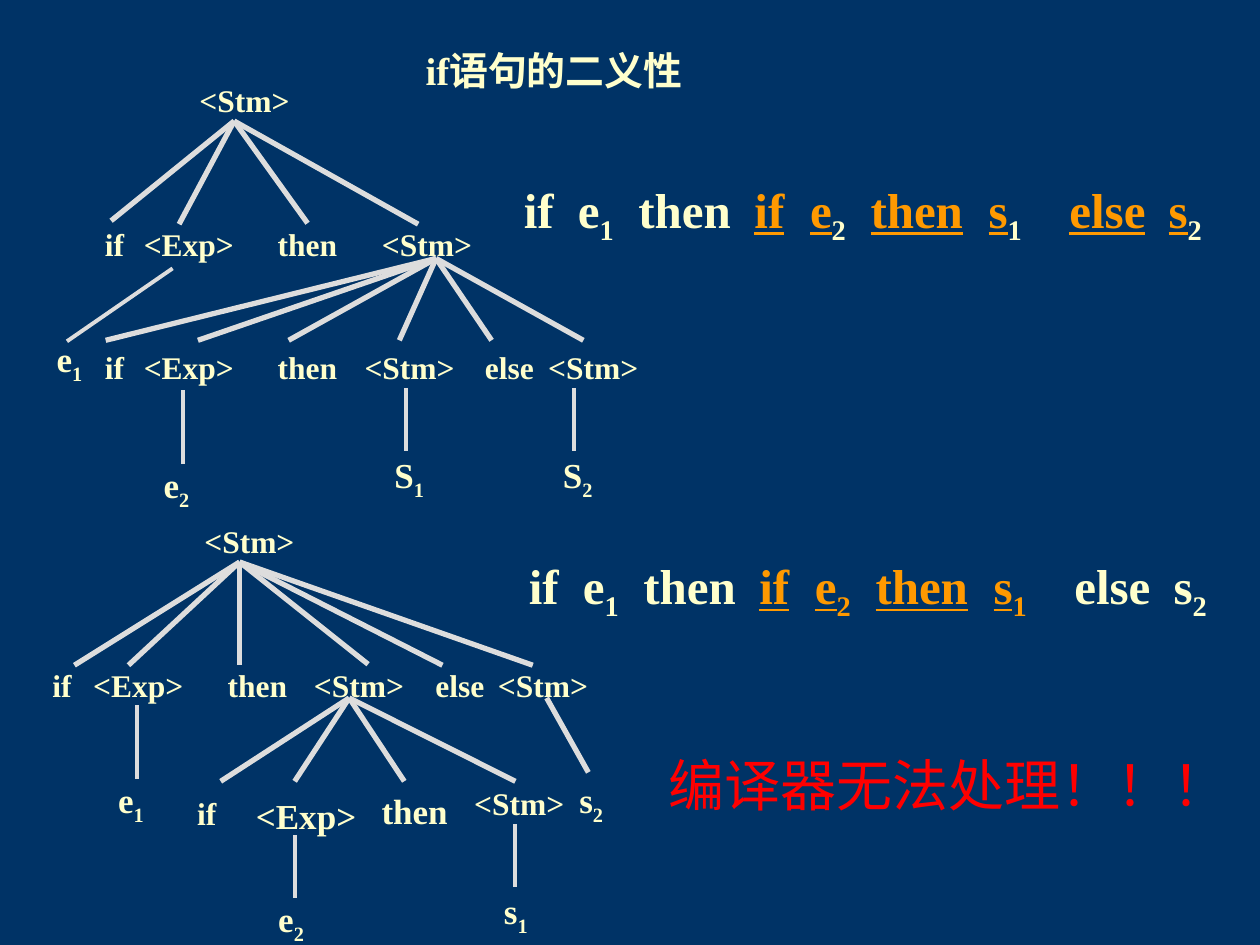
from dataclasses import dataclass
from lxml.etree import SubElement
from pptx import Presentation
from pptx.dml.color import RGBColor
from pptx.enum.shapes import MSO_CONNECTOR
from pptx.enum.text import PP_ALIGN
from pptx.oxml.ns import qn
from pptx.util import Cm, Pt


@dataclass(frozen=True)
class Theme:
    background: str = "003366"
    text: str = "FFFFCC"
    accent: str = "FF9900"
    warning: str = "FF0000"
    branch: str = "DDDDDD"
    latin: str = "Times New Roman"
    chinese: str = "Noto Sans CJK SC"
    title_size: float = 22.2
    node_size: float = 18
    leaf_size: float = 20
    formula_size: float = 28
    warning_size: float = 32
    thick: float = 3
    thin: float = 2.25


THEME = Theme()
TIGHT, ROOMY = (0.03, 0.03), (0.25, 0.13)
FORMULA_TABS = (1.09, 2.31, 4.65, 5.77, 6.99, 9.37, 11, 13)
NODE_WIDTHS = {"if": 1.12, "then": 1.48, "else": 1.48, "<Stm>": 2.24, "<Exp>": 2.24}

# Trees in cm from their corner: nodes (text, left, top, size), leaves (letter,
# index, left, top), fans (start, ends), stems (start, end, line width)
INNER_IF_WITH_ELSE = {
    "nodes": [("<Stm>", 3.1, 0, THEME.node_size)]
    + [(text, left, 2.9, THEME.node_size) for text, left in
       (("if", 0.86), ("<Exp>", 1.98), ("then", 4.57), ("<Stm>", 6.78))]
    + [(text, left, 5.39, THEME.node_size) for text, left in
       (("if", 0.86), ("<Exp>", 1.98), ("then", 4.57), ("<Stm>", 6.43),
        ("else", 8.64), ("<Stm>", 10.13))],
    "leaves": [("e", "1", 0, 5.08), ("e", "2", 2.16, 7.62),
               ("S", "1", 6.81, 7.42), ("S", "2", 10.21, 7.42)],
    "fans": [((3.83, 0.84), [(1.35, 2.85), (2.72, 2.92), (5.31, 2.92), (7.54, 2.92)]),
             ((7.9, 3.61), [(x, 5.26) for x in (1.24, 3.1, 4.93, 7.16, 9.02, 10.87)])],
    "stems": [((2.59, 3.81), (0.46, 5.28), THEME.thin),
              ((2.79, 6.27), (2.79, 7.75), THEME.thin),
              ((7.29, 6.22), (7.29, 7.49), THEME.thin),
              ((10.69, 6.22), (10.69, 7.49), THEME.thin)],
}
OUTER_IF_WITH_ELSE = {
    "nodes": [("<Stm>", 3.4, 0, THEME.node_size)]
    + [(text, left, 2.9, THEME.node_size) for text, left in
       (("if", 0), ("<Exp>", 1.16), ("then", 3.76), ("<Stm>", 5.61),
        ("else", 7.84), ("<Stm>", 9.32))]
    + [("if", 2.92, 5.49, THEME.node_size), ("<Exp>", 4.44, 5.49, THEME.leaf_size),
       ("then", 6.93, 5.39, THEME.leaf_size), ("<Stm>", 8.84, 5.28, THEME.node_size)],
    "leaves": [("e", "1", 1.44, 5.08), ("e", "2", 4.67, 7.47),
               ("s", "1", 9.22, 7.32), ("s", "2", 10.74, 5.08)],
    "fans": [((4.14, 0.84), [(x, 2.92) for x in (0.81, 1.9, 4.14, 6.73, 8.23, 10.05)]),
             ((6.35, 3.58), [(x, 5.26) for x in (3.76, 5.25, 7.46, 9.7)])],
    "stems": [((2.08, 3.73), (2.08, 5.21), THEME.thin),
              ((5.25, 6.35), (5.25, 7.62), THEME.thin),
              ((9.7, 6.12), (9.7, 7.39), THEME.thin),
              ((10.33, 3.58), (11.17, 5.08), THEME.thick)],
}

# Run styles of the formulas
PLAIN = {}
INDEX = {"subscript": True}
MARKED = {"color": THEME.accent, "underline": True}
MARKED_INDEX = {"color": THEME.accent, "subscript": True}


def add_run(paragraph, text, size, color=THEME.text, latin=THEME.latin,
            bold=True, underline=False, subscript=False):
    run = paragraph.add_run()
    run.text = text
    values = {"name": latin, "size": Pt(size), "bold": bold, "underline": underline}
    for name, value in values.items():
        setattr(run.font, name, value)
    run.font.color.rgb = RGBColor.from_string(color)
    properties = run._r.get_or_add_rPr()
    SubElement(properties, qn("a:ea")).set("typeface", THEME.chinese)
    if subscript:
        properties.set("baseline", "-25000")


def add_text(shapes, box, runs, size, insets=ROOMY, align=PP_ALIGN.LEFT, tabs=()):
    shape = shapes.add_textbox(*(Cm(length) for length in box))
    frame = shape.text_frame
    horizontal, vertical = (Cm(inset) for inset in insets)
    values = {"word_wrap": True, "margin_left": horizontal, "margin_right": horizontal,
              "margin_top": vertical, "margin_bottom": vertical}
    for name, value in values.items():
        setattr(frame, name, value)
    paragraph = frame.paragraphs[0]
    paragraph.alignment = align
    if tabs:
        tab_list = SubElement(paragraph._p.get_or_add_pPr(), qn("a:tabLst"))
        for position in tabs:
            tab = SubElement(tab_list, qn("a:tab"))
            tab.set("pos", str(Cm(position)))
            tab.set("algn", "l")
    for text, style in runs:
        add_run(paragraph, text, size, **style)
    return shape


def add_branch(shapes, start, end, width, nodes):
    points = [Cm(length) for length in (*start, *end)]
    connector = shapes.add_connector(MSO_CONNECTOR.STRAIGHT, *points)
    connector.line.color.rgb = RGBColor.from_string(THEME.branch)
    connector.line.width = Pt(width)
    SubElement(connector._element.spPr, qn("a:effectLst"))
    # Join the branch to a node whose top middle it reaches
    for node in nodes:
        middle = node.left + node.width // 2
        if max(abs(middle - points[2]), abs(node.top - points[3])) < Cm(0.05):
            connector.end_connect(node, 0)


def build_tree(slide, left, top, tree):
    shapes = slide.shapes.add_group_shape().shapes

    def place(point):
        return left + point[0], top + point[1]

    # Grammar symbols
    nodes = []
    for text, x, y, size in tree["nodes"]:
        align = PP_ALIGN.LEFT if text.startswith("<") else PP_ALIGN.CENTER
        box = (*place((x, y)), NODE_WIDTHS[text], 1.24)
        nodes.append(add_text(shapes, box, [(text, PLAIN)], size, TIGHT, align))
    # Branches
    for start, ends in tree["fans"]:
        for end in ends:
            add_branch(shapes, place(start), place(end), THEME.thick, nodes)
    for start, end, width in tree["stems"]:
        add_branch(shapes, place(start), place(end), width, nodes)
    # Leaves with their index
    for letter, index, x, y in tree["leaves"]:
        add_text(shapes, (*place((x, y)), 1.8, 1.22),
                 [(letter, PLAIN), (index, INDEX)], THEME.leaf_size)


def build_formula(slide, box, inner_index, else_style, else_index):
    runs = [("if\te", PLAIN), ("1", INDEX), ("\tthen\t", PLAIN),
            ("if\te", MARKED), ("2", inner_index), ("\tthen\ts", MARKED),
            ("1", inner_index), ("\telse\ts", else_style), ("2", else_index)]
    add_text(slide.shapes, box, runs, THEME.formula_size, tabs=FORMULA_TABS)


def build_title(slide, box):
    add_text(slide.shapes, box, [("if语句的二义性", PLAIN)], THEME.title_size, TIGHT)


def build_warning(slide, box):
    style = {"color": THEME.warning, "latin": THEME.chinese, "bold": False}
    add_text(slide.shapes, box, [("编译器无法处理！！！", style)], THEME.warning_size)


def main():
    presentation = Presentation()
    presentation.slide_width, presentation.slide_height = Cm(25.4), Cm(19.05)
    slide = presentation.slides.add_slide(presentation.slide_layouts[6])
    slide.background.fill.solid()
    slide.background.fill.fore_color.rgb = RGBColor.from_string(THEME.background)

    build_title(slide, (8.55, 0.91, 7.8, 1.07))
    build_tree(slide, 0.89, 1.6, INNER_IF_WITH_ELSE)
    build_formula(slide, (10.31, 3.48, 14.81, 1.6), INDEX, MARKED, INDEX)
    build_tree(slide, 0.69, 10.49, OUTER_IF_WITH_ELSE)
    build_formula(slide, (10.41, 11.07, 14.5, 1.6), MARKED_INDEX, PLAIN, INDEX)
    build_warning(slide, (13.23, 15.01, 11.35, 1.63))
    presentation.save("out.pptx")


if __name__ == "__main__":
    main()
